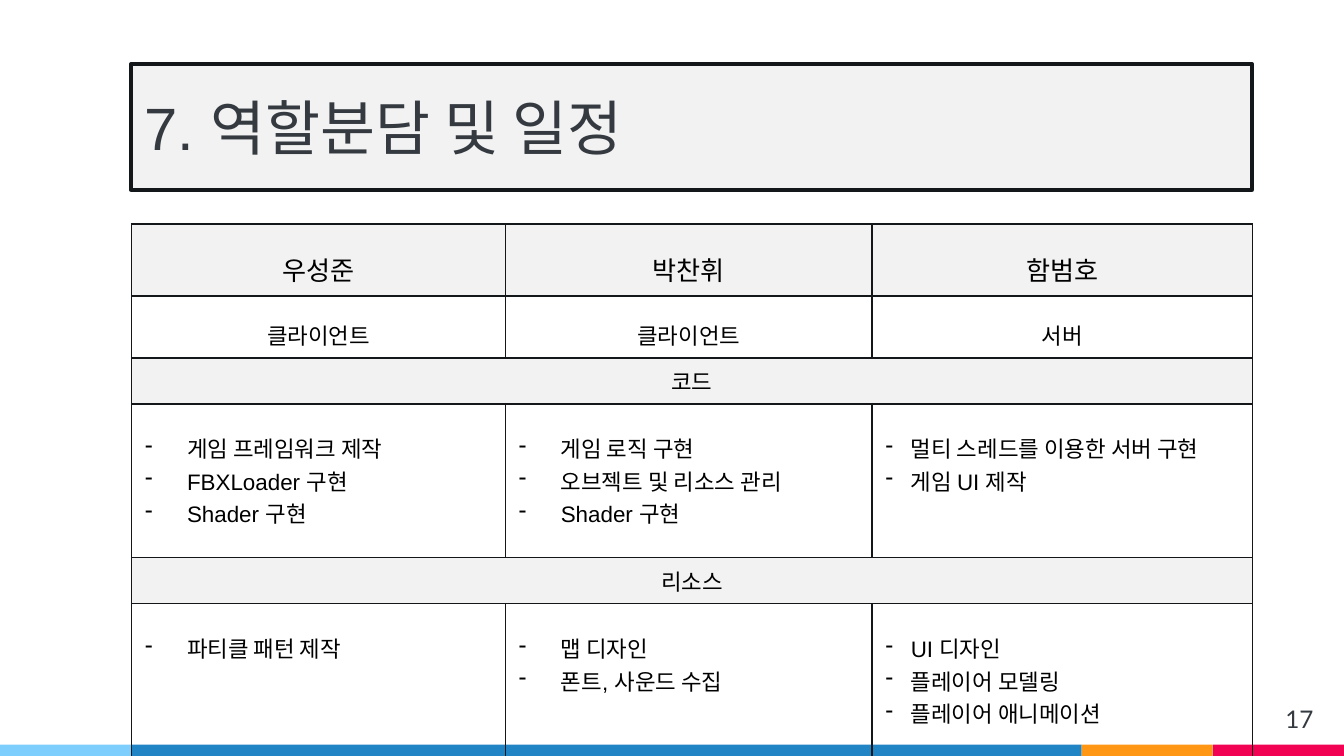
import pptx
import pptx.util
import pptx.dml.color
import pptx.enum.shapes
import pptx.enum.text
import pptx.oxml
import pptx.oxml.ns

Pt = pptx.util.Pt
ALIGN = pptx.enum.text.PP_ALIGN
ANCHOR = pptx.enum.text.MSO_ANCHOR
INK, SLATE, GRAY, BLACK = "13171A", "343A40", "F2F2F2", "000000"

COLUMN_WIDTHS = [200.25, 196.5, 203.75]
BULLET_INDENTS = [22.5, 22.5, 13.5]
MEMBERS = ["우성준", "박찬휘", "함범호"]
ROLES = ["클라이언트", "클라이언트", "서버"]
CODE_TASKS = [
    ["게임 프레임워크 제작", "FBXLoader 구현", "Shader 구현"],
    ["게임 로직 구현", "오브젝트 및 리소스 관리", "Shader 구현"],
    ["멀티 스레드를 이용한 서버 구현", "게임 UI 제작"],
]
RESOURCE_TASKS = [
    ["파티클 패턴 제작"],
    ["맵 디자인", "폰트, 사운드 수집"],
    ["UI 디자인", "플레이어 모델링", "플레이어 애니메이션"],
]


def rgb(value):
    return pptx.dml.color.RGBColor.from_string(value)


def set_font(paragraph, size, color, name="Arial"):
    paragraph.font.size = Pt(size)
    paragraph.font.name = name
    paragraph.font.color.rgb = rgb(color)


def set_insets(frame, inset):
    frame.margin_left = frame.margin_right = Pt(inset)
    frame.margin_top = frame.margin_bottom = Pt(inset)


def add_rectangle(slide, left, top, width, height, fill):
    rectangle = slide.shapes.add_shape(
        pptx.enum.shapes.MSO_SHAPE.RECTANGLE, Pt(left), Pt(top), Pt(width), Pt(height))
    rectangle.shadow.inherit = False
    rectangle.fill.solid()
    rectangle.fill.fore_color.rgb = rgb(fill)
    rectangle.line.fill.background()
    return rectangle


def add_footer_bars(slide, left, top, height):
    bars = [(70.5, "7ECEFD"), (509, "2185C5"), (70.25, "FF9715"), (70.25, "F20253")]
    for width, color in bars:
        add_rectangle(slide, left, top, width, height, color)
        left += width


def add_title(slide, left, top, width, height):
    title = add_rectangle(slide, left, top, width, height, GRAY)
    title.line.color.rgb = rgb(INK)
    title.line.width = Pt(2)
    frame = title.text_frame
    frame.word_wrap = True
    frame.vertical_anchor = ANCHOR.MIDDLE
    set_insets(frame, 7.2)
    heading = frame.paragraphs[0]
    heading.text = "7. 역할분담 및 일정"
    heading.alignment = ALIGN.LEFT
    set_font(heading, 32, SLATE)


def add_page_number(slide, left, top, width, height):
    frame = slide.shapes.add_textbox(Pt(left), Pt(top), Pt(width), Pt(height)).text_frame
    frame.word_wrap = True
    set_insets(frame, 7.2)
    number = frame.paragraphs[0]
    number.text = "17"
    number.alignment = ALIGN.RIGHT
    set_font(number, 13, SLATE, "Lato")


def style_cell(cell, fill=None):
    if fill:
        cell.fill.solid()
        cell.fill.fore_color.rgb = rgb(fill)
    else:
        cell.fill.background()
    properties = cell._tc.get_or_add_tcPr()
    for position, side in enumerate(("lnL", "lnR", "lnT", "lnB")):
        border = pptx.oxml.parse_xml(
            f'<a:{side} {pptx.oxml.ns.nsdecls("a")} w="{Pt(1)}">'
            f'<a:solidFill><a:srgbClr val="{INK}"/></a:solidFill></a:{side}>')
        properties.insert(position, border)


def fill_label(cell, label, size, spacing=1):
    cell.vertical_anchor = ANCHOR.MIDDLE
    paragraph = cell.text_frame.paragraphs[0]
    paragraph.text = label
    paragraph.alignment = ALIGN.CENTER
    paragraph.line_spacing = spacing
    set_font(paragraph, size, BLACK)


def fill_tasks(cell, tasks, indent):
    cell.vertical_anchor = ANCHOR.TOP
    cell.margin_top = cell.margin_bottom = Pt(15)
    frame = cell.text_frame
    frame.text = "\n".join(tasks)
    for paragraph in frame.paragraphs:
        set_font(paragraph, 12, BLACK)
        properties = paragraph._p.get_or_add_pPr()
        properties.set("marL", str(Pt(indent)))
        properties.set("indent", str(-Pt(indent)))
        bullet = pptx.oxml.parse_xml(f'<a:buChar {pptx.oxml.ns.nsdecls("a")} char="-"/>')
        properties.insert(0, bullet)


def add_roles_table(slide, left, top, width, height):
    row_heights = [38.5, 33.25, 24.6, 82.5, 24.6, 82.5]
    table = slide.shapes.add_table(
        len(row_heights), len(COLUMN_WIDTHS), Pt(left), Pt(top), Pt(width), Pt(height)).table
    table.first_row = table.horz_banding = False
    for column, column_width in zip(table.columns, COLUMN_WIDTHS):
        column.width = Pt(column_width)
    for index, row_height in enumerate(row_heights):
        table.rows[index].height = Pt(row_height)
        for cell in table.rows[index].cells:
            style_cell(cell, GRAY if index in (0, 2, 4) else None)
    for column in range(len(COLUMN_WIDTHS)):
        fill_label(table.cell(0, column), MEMBERS[column], 14, 1.5)
        fill_label(table.cell(1, column), ROLES[column], 12, 1.5)
    for row, section, tasks in ((2, "코드", CODE_TASKS), (4, "리소스", RESOURCE_TASKS)):
        table.cell(row, 0).merge(table.cell(row, 2))
        fill_label(table.cell(row, 0), section, 12)
        for column, indent in enumerate(BULLET_INDENTS):
            fill_tasks(table.cell(row + 1, column), tasks[column], indent)


def main():
    presentation = pptx.Presentation()
    presentation.slide_width = Pt(720)
    presentation.slide_height = Pt(405)
    slide = presentation.slides.add_slide(presentation.slide_layouts[6])
    add_footer_bars(slide, 0, 399, 6)
    add_title(slide, 70.25, 34.25, 600.5, 67.5)
    add_page_number(slide, 667.5, 370, 43.2, 24.5)
    add_roles_table(slide, 70.5, 120, 600.5, 285.95)
    presentation.save("out.pptx")


if __name__ == "__main__":
    main()
